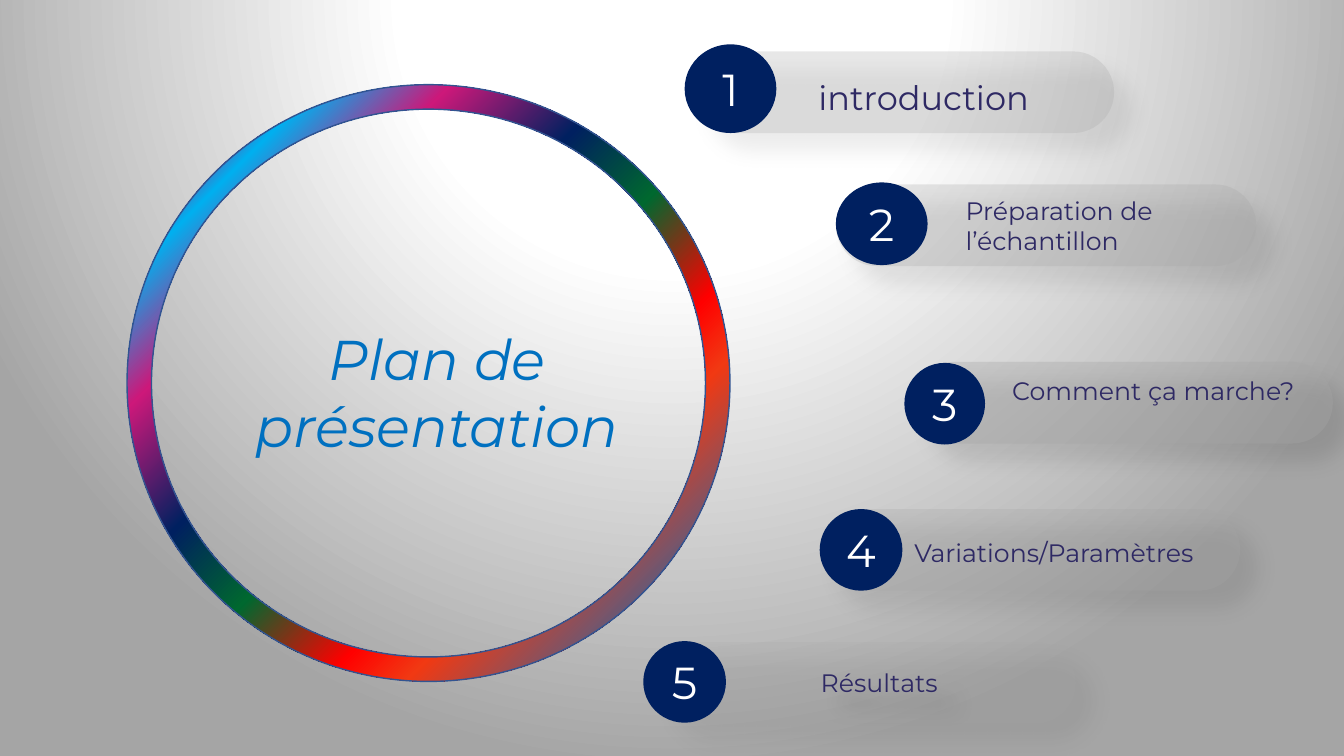
"""Build the outline slide: a ring with the title and five numbered steps."""
import dataclasses

import lxml.etree
import pptx
import pptx.dml.color
import pptx.enum.shapes
import pptx.enum.text
import pptx.oxml
import pptx.oxml.ns
import pptx.util

Inches = pptx.util.Inches
Shapes = pptx.enum.shapes.MSO_SHAPE
Align = pptx.enum.text.PP_ALIGN
DRAWING = pptx.oxml.ns.nsdecls("a")


@dataclasses.dataclass(frozen=True)
class Theme:
    """Colours, font and type sizes of the slide."""
    font: str = "Montserrat"
    navy: str = "002060"
    label: str = "2E2964"
    title: str = "0070C0"
    white: str = "FFFFFF"
    bar: str = "A6A6A6"
    ring_line: str = "325491"
    title_size: int = 40
    number_size: int = 32
    lead_size: int = 24
    label_size: int = 18
    backdrop: tuple = ((0, "FFFFFF"), (35, "FFFFFF"), (100, "A5A5A5"))
    ring: tuple = ((9, "CC0066"), (16, "00B0F0"), (27, "CD187A"), (41, "002060"),
                   (53, "00682F"), (66, "FF0000"), (73, "F13913"), (95, "0070C0"))


THEME = Theme()


@dataclasses.dataclass(frozen=True)
class Step:
    """One numbered step; a label without a place is written in its bar."""
    bar: tuple
    opacity: int
    disc: tuple
    label: str
    place: tuple = None
    size: int = THEME.label_size
    align: Align = Align.LEFT


STEPS = (
    Step((6.88, 0.51), 25, (6.79, 0.44, 0.91, 0.88), "introduction",
         (7.94, 0.71, 2.44, 0.5), THEME.lead_size, Align.CENTER),
    Step((8.29, 1.83), 27, (8.29, 1.81, 0.91, 0.82), "Préparation de l’échantillon",
         (9.48, 1.89, 2.69, 1.01)),
    Step((9.05, 3.59), 35, (8.97, 3.6, 0.8, 0.81), "Comment ça marche?",
         (9.94, 3.67, 3.12, 1.01)),
    Step((8.13, 5.05), 25, (8.13, 5.05, 0.82, 0.81), "Variations/Paramètres",
         (8.97, 5.28, 3.38, 0.71)),
    Step((6.5, 6.37), 16, (6.38, 6.36, 0.82, 0.81), "Résultats", align=Align.CENTER),
)
BAR_SIZE = (4.17, 0.81)


def lengths(place):
    """Turn a place in inches into slide lengths."""
    return [Inches(value) for value in place]


def rgb(colour):
    """Read a colour from its hex code."""
    return pptx.dml.color.RGBColor.from_string(colour)


def set_gradient(fill, properties, stops, direction):
    """Give a fill the stops and the direction element of a gradient."""
    fill.gradient()
    gradient = properties.find(pptx.oxml.ns.qn("a:gradFill"))
    for child in list(gradient):
        gradient.remove(child)
    marks = "".join(f'<a:gs pos="{position * 1000}"><a:srgbClr val="{colour}"/></a:gs>'
                    for position, colour in stops)
    gradient.append(pptx.oxml.parse_xml(f"<a:gsLst {DRAWING}>{marks}</a:gsLst>"))
    gradient.append(pptx.oxml.parse_xml(direction))


def write(shape, text, *, size, colour, align=Align.CENTER, italic=False):
    """Write one formatted paragraph into a shape."""
    frame = shape.text_frame
    frame.word_wrap = True
    para = frame.paragraphs[0]
    para.alignment = align
    span = para.add_run()
    span.text = text
    span.font.name = THEME.font
    span.font.size = pptx.util.Pt(size)
    span.font.italic = italic
    span.font.color.rgb = rgb(colour)


def add_text(page, place, text, **style):
    """Add a text box that grows with its text."""
    box = page.shapes.add_textbox(*lengths(place))
    write(box, text, **style)
    box.text_frame.auto_size = pptx.enum.text.MSO_AUTO_SIZE.SHAPE_TO_FIT_TEXT


def add_plain(page, kind, place, colour):
    """Add a filled preset shape without line or shadow."""
    shape = page.shapes.add_shape(kind, *lengths(place))
    shape.shadow.inherit = False
    shape.fill.solid()
    shape.fill.fore_color.rgb = rgb(colour)
    shape.line.fill.background()
    shape.text_frame.vertical_anchor = pptx.enum.text.MSO_ANCHOR.MIDDLE
    return shape


def add_bar(page, step):
    """Add a translucent rounded bar with a soft shadow."""
    bar = add_plain(page, Shapes.ROUNDED_RECTANGLE, step.bar + BAR_SIZE, THEME.bar)
    bar.adjustments[0] = 0.5
    properties = bar.element.spPr
    tint = properties.find(pptx.oxml.ns.qn("a:solidFill"))[0]
    lxml.etree.SubElement(tint, pptx.oxml.ns.qn("a:alpha"), val=str(step.opacity * 1000))
    effects = properties.find(pptx.oxml.ns.qn("a:effectLst"))
    effects.append(pptx.oxml.parse_xml(
        f'<a:outerShdw {DRAWING} blurRad="{pptx.util.Pt(15)}" dist="{pptx.util.Pt(18)}" '
        f'dir="{45 * 60000}" algn="tl" rotWithShape="0">'
        '<a:srgbClr val="000000"><a:alpha val="30000"/></a:srgbClr></a:outerShdw>'))
    return bar


def add_step(page, number, step):
    """Add the bar, the numbered disc and the label of a step."""
    style = {"size": step.size, "colour": THEME.label, "align": step.align}
    bar = add_bar(page, step)
    disc = add_plain(page, Shapes.FLOWCHART_CONNECTOR, step.disc, THEME.navy)
    write(disc, str(number), size=THEME.number_size, colour=THEME.white)
    if step.place:
        add_text(page, step.place, step.label, **style)
    else:
        bar.text_frame.margin_left = Inches(0.37)
        write(bar, step.label, **style)


def add_ring(page):
    """Add the thin multicoloured ring."""
    ring = add_plain(page, Shapes.DONUT, (1.26, 0.84, 5.98, 5.92), THEME.white)
    ring.adjustments[0] = 0.041
    set_gradient(ring.fill, ring.element.spPr, THEME.ring,
                 f'<a:lin {DRAWING} ang="{45 * 60000}" scaled="0"/>')
    ring.line.color.rgb = rgb(THEME.ring_line)
    ring.line.width = pptx.util.Pt(1)


def set_backdrop(page):
    """Light the page from above with a round gradient."""
    fill = page.background.fill
    properties = page.element.find(".//" + pptx.oxml.ns.qn("p:bgPr"))
    set_gradient(fill, properties, THEME.backdrop,
                 f'<a:path {DRAWING} path="circle">'
                 '<a:fillToRect l="50000" t="-80000" r="50000" b="180000"/></a:path>')


def main():
    """Build and save the deck."""
    deck = pptx.Presentation()
    deck.slide_width, deck.slide_height = Inches(13.33), Inches(7.5)
    page = deck.slides.add_slide(deck.slide_layouts[6])
    set_backdrop(page)
    add_ring(page)
    add_text(page, (2.04, 3.17, 4.59, 1.45), "Plan de présentation",
             size=THEME.title_size, colour=THEME.title, italic=True)
    for number, step in enumerate(STEPS, 1):
        add_step(page, number, step)
    deck.save("out.pptx")


if __name__ == "__main__":
    main()
